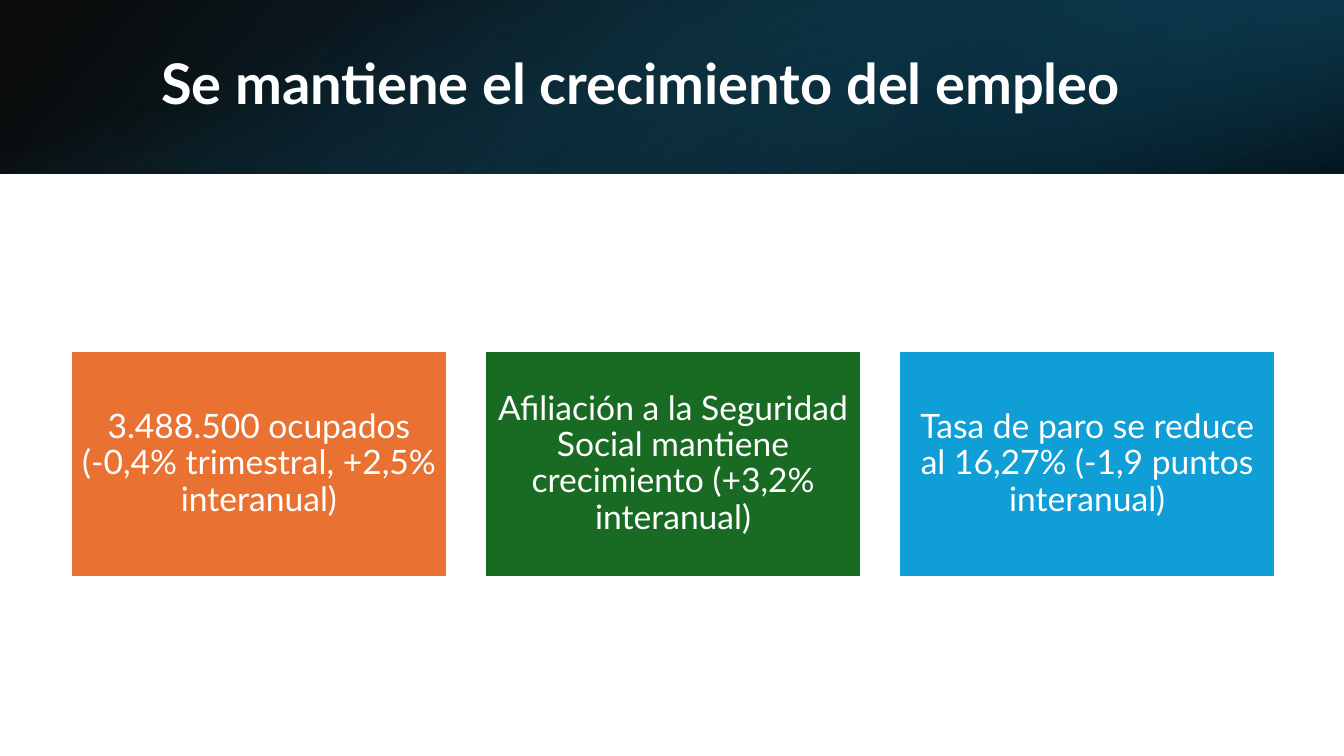
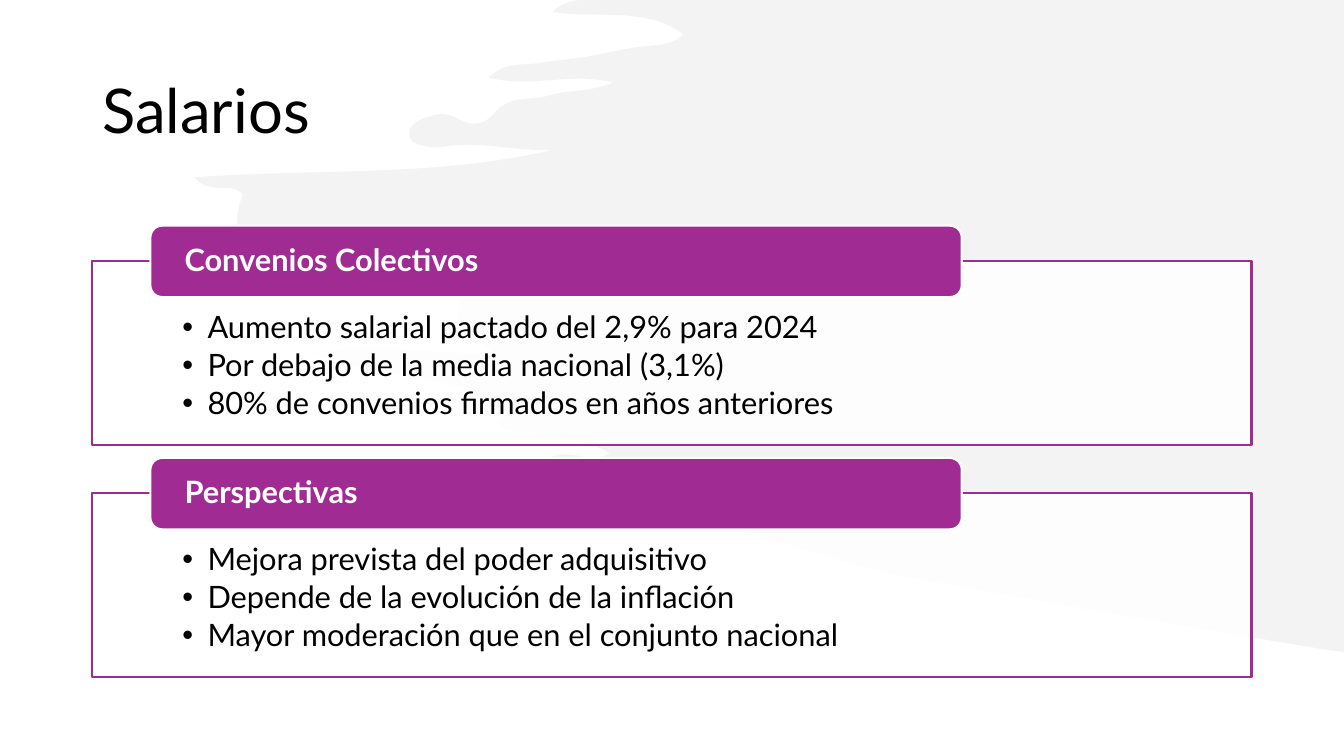
from dataclasses import dataclass

from lxml import etree
from pptx import Presentation
from pptx import util as u
from pptx.dml.color import RGBColor
from pptx.enum import shapes, text
from pptx.oxml.ns import qn


@dataclass(frozen=True)
class Theme:
    font: str = "Lato"
    bullet_font: str = "Arial"
    white: str = "FFFFFF"
    black: str = "000000"
    orange: str = "E97132"
    green: str = "196B24"
    blue: str = "0F9ED5"
    purple: str = "A02B93"
    splash: str = "E8E8E8"
    teal: str = "156082"
    deep_teal: str = "104862"
    dark_teal: str = "0B3041"
    title: float = 44
    band_title: float = 40
    card: float = 24
    body: float = 22
    outline: float = 1.5
    leading: float = 0.9


theme = Theme()
middle = text.MSO_ANCHOR.MIDDLE
left, centre = text.PP_ALIGN.LEFT, text.PP_ALIGN.CENTER


def dress(part, colours, opacities=(), line=None):
    part.shadow.inherit = False
    if len(colours) == 1:
        part.fill.solid()
        part.fill.fore_color.rgb = RGBColor.from_string(colours[0])
    else:
        part.fill.gradient()
        for stop, colour in zip(part.fill.gradient_stops, colours):
            stop.color.rgb = RGBColor.from_string(colour)
    for colour, opacity in zip(part._element.spPr.iter(qn("a:srgbClr")), opacities):
        etree.SubElement(colour, qn("a:alpha")).set("val", str(opacity * 1000))
    if line:
        part.line.color.rgb = RGBColor.from_string(line)
        part.line.width = u.Pt(theme.outline)
    else:
        part.line.fill.background()


def write(part, lines, colour, size, bold=False, align=left, anchor=middle,
          insets=(7.2, 3.6, 7.2, 3.6), after=0, bullet=None):
    frame = part.text_frame
    frame.word_wrap = True
    frame.vertical_anchor = anchor
    for side, inset in zip(("left", "top", "right", "bottom"), insets):
        setattr(frame, f"margin_{side}", u.Pt(inset))
    font_format = {"name": theme.font, "size": u.Pt(size), "bold": bold}
    line_format = {"alignment": align, "line_spacing": theme.leading,
                   "space_after": u.Pt(after)}
    for index, wording in enumerate(lines):
        paragraph = frame.add_paragraph() if index else frame.paragraphs[0]
        for key, value in line_format.items():
            setattr(paragraph, key, value)
        run = paragraph.add_run()
        run.text = wording
        for key, value in font_format.items():
            setattr(run.font, key, value)
        run.font.color.rgb = RGBColor.from_string(colour)
        if bullet:
            properties = paragraph._p.get_or_add_pPr()
            properties.set("marL", str(u.Pt(18)))
            properties.set("indent", str(u.Pt(-18)))
            etree.SubElement(properties, qn("a:buFont")).set(
                "typeface", theme.bullet_font)
            etree.SubElement(properties, qn("a:buChar")).set("char", bullet)


deck = Presentation()
deck.slide_width, deck.slide_height = u.Pt(960), u.Pt(540)
blank = deck.slide_layouts[6]

employment = deck.slides.add_slide(blank)

band_layers = [
    ((0, 0, 960, 124), 0, True, 140,
     [(0, theme.black, 96), (1, theme.deep_teal, 100)]),
    ((640, 0, 320, 124), 180, True, 320,
     [(0.19, theme.dark_teal, 68), (1, theme.teal, 79)]),
    ((418, -418, 124, 960), 90, False, 340,
     [(0.23, theme.teal, 0), (0.99, theme.black, 74)]),
]
for place, rotation, flipped, angle, stops in band_layers:
    band = employment.shapes.add_shape(shapes.MSO_SHAPE.RECTANGLE, *map(u.Pt, place))
    positions, colours, opacities = zip(*stops)
    dress(band, colours, opacities)
    band.fill.gradient_angle = 360 - angle
    for stop, position in zip(band.fill.gradient_stops, positions):
        stop.position = position
    band.rotation = rotation
    if flipped:
        band._element.spPr.find(qn("a:xfrm")).set("flipH", "1")

heading = employment.shapes.add_textbox(*map(u.Pt, (108, 27.4, 790.6, 69)))
write(heading, ["Se mantiene el crecimiento del empleo"], theme.white,
      theme.band_title, bold=True)

figures = [
    ("3.488.500 ocupados (-0,4% trimestral, +2,5% interanual)", theme.orange),
    ("Afiliación a la Seguridad Social mantiene crecimiento (+3,2% interanual)",
     theme.green),
    ("Tasa de paro se reduce al 16,27% (-1,9 puntos interanual)", theme.blue),
]
card_width, card_gap = 268.9, 26.9
for index, (wording, colour) in enumerate(figures):
    card = employment.shapes.add_shape(
        shapes.MSO_SHAPE.RECTANGLE, u.Pt(50.5 + index * (card_width + card_gap)),
        u.Pt(250.7), u.Pt(card_width), u.Pt(161.4))
    dress(card, [colour], line=theme.white)
    write(card, [wording], theme.white, theme.card, align=centre, insets=(7.2,) * 4)

wages = deck.slides.add_slide(blank)

splash_curves = [
    (408.2, 0.7, 401, 2.2, 394.6, 8.6),
    (428.4, 13.7, 460.1, 4.3, 488.2, 24.5),
    (478.1, 33.8, 466.6, 31.7, 455, 33.8),
    (443.5, 35.3, 432, 38.2, 420.5, 40.3),
    (408.2, 42.5, 395.3, 43.2, 383, 45.4),
    (373, 46.8, 361.4, 43.9, 349.2, 55.4),
    (379.4, 63.4, 407.5, 51.1, 437.8, 59),
    (420.5, 66.2, 405.4, 64.1, 391.7, 68.4),
    (379.4, 72, 364.3, 67.7, 354.2, 79.9),
    (346.3, 89.3, 337.7, 90.7, 327.6, 85),
    (318.2, 79.2, 308.2, 81.4, 298.8, 86.4),
    (295.9, 88.6, 292.3, 90.7, 292.3, 95),
    (292.3, 101.5, 296.6, 103, 301, 103.7),
    (305.3, 105.1, 310.3, 105.8, 314.6, 105.1),
    (341.3, 100.1, 367.2, 108, 393.8, 107.3),
    (310.3, 126.7, 226.1, 120.2, 139, 126.7),
    (150.5, 140.4, 164.9, 128.9, 173.5, 139),
    (165.6, 159.8, 168.5, 170.6, 185.8, 172.1),
    (201.6, 173.5, 218.9, 166.3, 227.5, 190.8),
    (230.4, 198.7, 245.5, 196.6, 255.6, 198),
    (276.5, 200.9, 298.1, 198, 318.2, 207.4),
    (326.2, 211, 331.2, 213.8, 327.6, 223.9),
    (323.3, 234, 328.3, 237.6, 335.5, 241.9),
    (340.6, 244.8, 347.8, 244.1, 352.1, 253.4),
    (308.2, 252, 265.7, 244.8, 222.5, 252),
    (270, 269.3, 321.8, 268.6, 368.6, 289.4),
    (367.2, 296.6, 356.4, 293, 355.7, 303.8),
    (380.2, 315.4, 409.7, 307.4, 435.6, 324),
    (420.5, 331.9, 406.8, 319.7, 392.4, 326.9),
    (397.4, 337.7, 604.8, 403.9, 642.2, 411.1),
    (704.2, 422.6, 860.4, 450, 949, 464.4),
]
corners = [(414, 0), *(curve[4:] for curve in splash_curves), (960, 465.8)]
outline = wages.shapes.build_freeform(u.Pt(960), u.Pt(0))
outline.add_line_segments([(u.Pt(x), u.Pt(y)) for x, y in corners], close=True)
splash = outline.convert_to_shape()
dress(splash, [theme.splash], [50])
segments = list(splash._element.spPr.iter(qn("a:lnTo")))[1:-1]
for segment, curve in zip(segments, splash_curves):
    segment.tag = qn("a:cubicBezTo")
    for order, (x, y) in enumerate((curve[:2], curve[2:4])):
        control = etree.Element(qn("a:pt"))
        control.set("x", str(u.Pt(x) - splash.left))
        control.set("y", str(u.Pt(y) - splash.top))
        segment.insert(order, control)

heading = wages.shapes.add_textbox(*map(u.Pt, (66, 28.8, 828, 104.4)))
write(heading, ["Salarios"], theme.black, theme.title)

topics = [
    ("Convenios Colectivos", [
        "Aumento salarial pactado del 2,9% para 2024",
        "Por debajo de la media nacional (3,1%)",
        "80% de convenios firmados en años anteriores"]),
    ("Perspectivas", [
        "Mejora prevista del poder adquisitivo",
        "Depende de la evolución de la inflación",
        "Mayor moderación que en el conjunto nacional"]),
]
topic_pitch = 165.9
for index, (topic, points) in enumerate(topics):
    top = 161.2 + index * topic_pitch
    panel = wages.shapes.add_shape(
        shapes.MSO_SHAPE.RECTANGLE, *map(u.Pt, (66, top + 25.4, 828, 131.2)))
    dress(panel, [theme.white], [90], line=theme.purple)
    write(panel, points, theme.black, theme.body, anchor=text.MSO_ANCHOR.TOP,
          insets=(64.3, 36.2, 64.3, 12.2), after=3.3, bullet="•")
    tab = wages.shapes.add_shape(
        shapes.MSO_SHAPE.ROUNDED_RECTANGLE, *map(u.Pt, (107.4, top, 579.6, 51)))
    dress(tab, [theme.purple], line=theme.white)
    write(tab, [topic], theme.white, theme.body, bold=True, insets=(22, 0, 22, 0))

deck.save("out.pptx")
